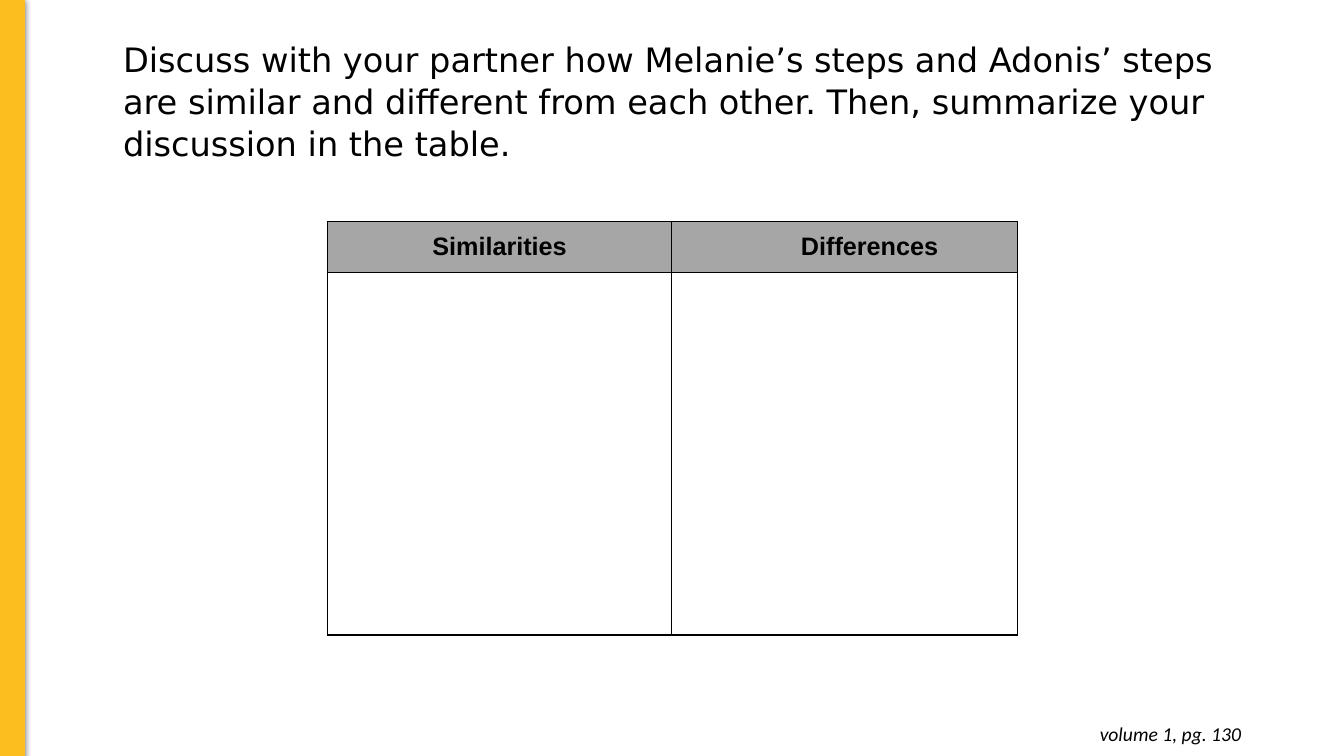
"""Build the partner discussion slide with a similarities and differences table."""
from lxml import etree
from pptx import Presentation
from pptx.dml.color import RGBColor
from pptx.enum.shapes import MSO_SHAPE
from pptx.enum.text import MSO_ANCHOR, PP_ALIGN
from pptx.oxml import parse_xml
from pptx.oxml.ns import nsdecls, qn
from pptx.util import Inches, Pt

RECT = MSO_SHAPE.RECTANGLE
TOP, MIDDLE = MSO_ANCHOR.TOP, MSO_ANCHOR.MIDDLE
LEFT, CENTER, RIGHT = PP_ALIGN.LEFT, PP_ALIGN.CENTER, PP_ALIGN.RIGHT
COLORS = {"text": "000000", "bar": "FCBD1E", "header": "A6A6A6", "border": "000000"}


def rgb(name):
    return RGBColor.from_string(COLORS[name])


def style(p, font, size, align, bold=False, italic=False):
    p.alignment = align
    p.font.name = font
    p.font.size = Pt(size)
    p.font.bold = bold
    p.font.italic = italic
    p.font.color.rgb = rgb("text")


prs = Presentation()
prs.slide_width, prs.slide_height = Inches(13.33), Inches(7.5)
s = prs.slides.add_slide(prs.slide_layouts[5])

title = s.shapes.title
title.left, title.top = Inches(1.12), Inches(0.32)
title.width, title.height = Inches(11.09), Inches(1.31)
tf = title.text_frame
tf.vertical_anchor = TOP
tf.word_wrap = True
p = tf.paragraphs[0]
p.text = (
    "Discuss with your partner how Melanie’s steps and Adonis’ steps are similar "
    "and different from each other. Then, summarize your discussion in the table."
)
p.line_spacing = 1.04
style(p, "DejaVu Sans", 24, LEFT)

bar = s.shapes.add_shape(RECT, 0, Inches(-0.01), Inches(0.24), Inches(7.51))
bar.fill.solid()
bar.fill.fore_color.rgb = rgb("bar")
bar.line.color.rgb = rgb("bar")
bar.line.width = Pt(0.75)
bar.element.spPr.append(parse_xml(
    f'<a:effectLst {nsdecls("a")}><a:outerShdw blurRad="{Pt(4.5)}" dist="{Pt(1.5)}" '
    'dir="5400000" rotWithShape="0"><a:srgbClr val="000000"><a:alpha val="50000"/>'
    '</a:srgbClr></a:outerShdw></a:effectLst>'
))

table = s.shapes.add_table(
    2, 2, Inches(3.25), Inches(2.2), Inches(6.84), Inches(4.1)
).table
for column, width in zip(table.columns, (3.41, 3.43)):
    column.width = Inches(width)
for row, height in zip(table.rows, (0.5, 3.6)):
    row.height = Inches(height)

for cell in table.iter_cells():
    cell.fill.background()
    cell.vertical_anchor = MIDDLE
    cell.margin_left = cell.margin_right = Inches(0.07)
    cell.margin_top = cell.margin_bottom = 0
    tcPr = cell._tc.get_or_add_tcPr()
    for i, side in enumerate(("lnL", "lnR", "lnT", "lnB")):
        ln = etree.Element(qn(f"a:{side}"), w=str(Pt(1)))
        fill = etree.SubElement(ln, qn("a:solidFill"))
        etree.SubElement(fill, qn("a:srgbClr"), val=COLORS["border"])
        tcPr.insert(i, ln)

for i, (heading, indent) in enumerate((("Similarities", 0), ("Differences", 0.5))):
    cell = table.cell(0, i)
    cell.fill.solid()
    cell.fill.fore_color.rgb = rgb("header")
    p = cell.text_frame.paragraphs[0]
    p.text = heading
    p._p.get_or_add_pPr().set("marL", str(Inches(indent)))
    style(p, "Arial", 18, CENTER, bold=True)

page_ref = s.shapes.add_textbox(Inches(9.53), Inches(7.06), Inches(2.88), Inches(0.44))
tf = page_ref.text_frame
tf.word_wrap = True
tf.margin_top = tf.margin_bottom = Inches(0.1)
p = tf.paragraphs[0]
p.text = "volume 1, pg. 130"
style(p, "Calibri", 14, RIGHT, italic=True)

prs.save("out.pptx")
